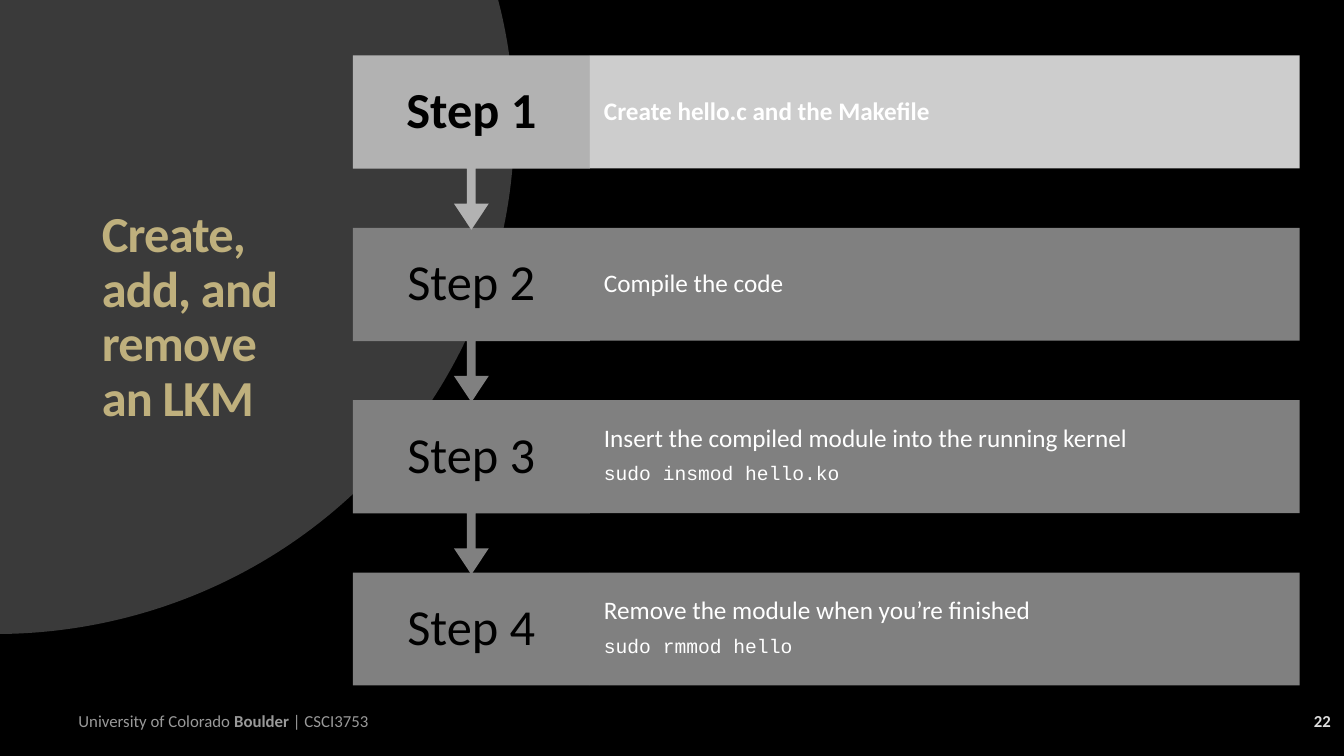
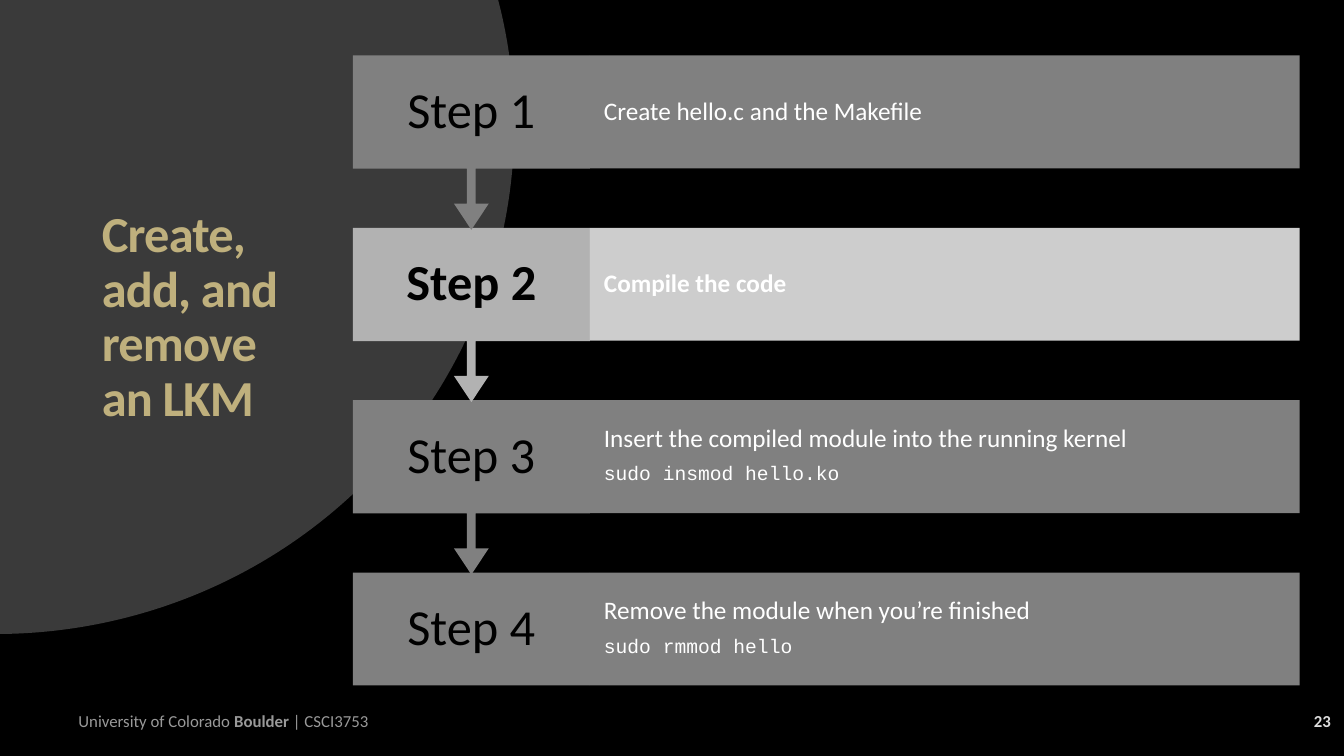
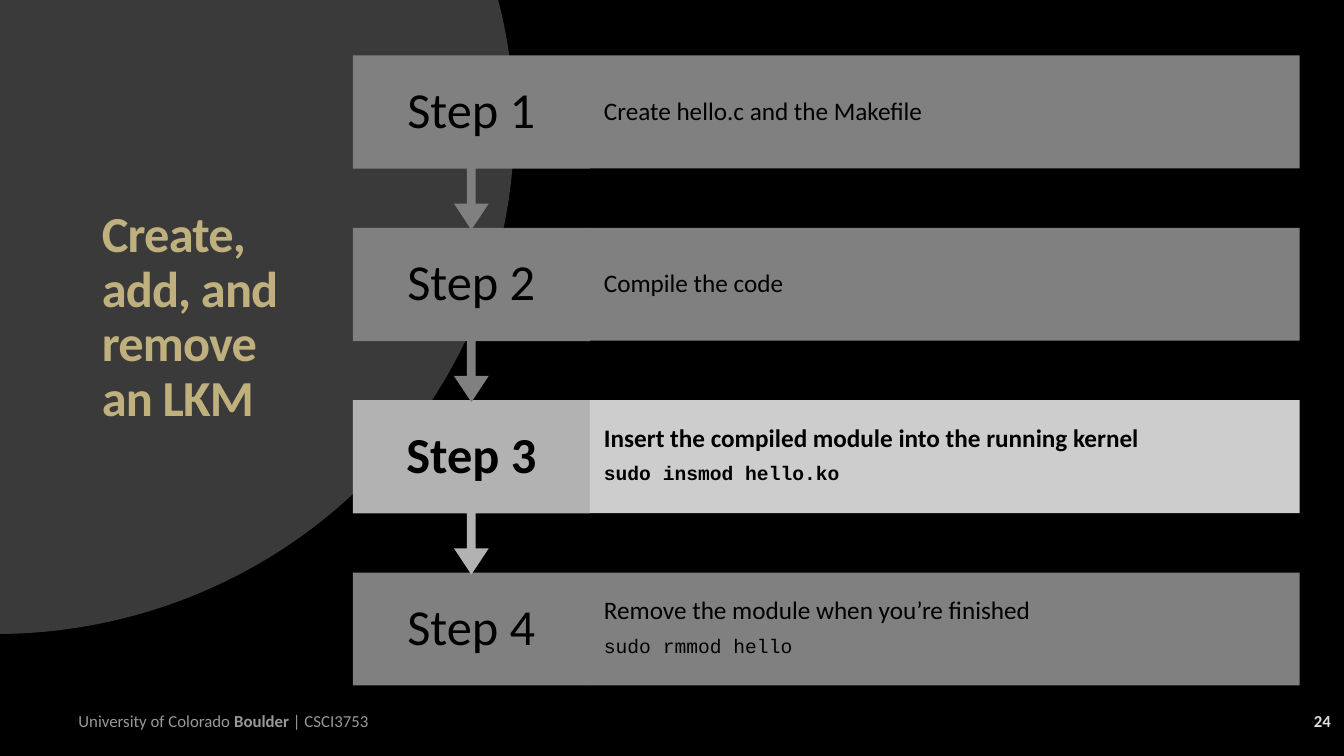
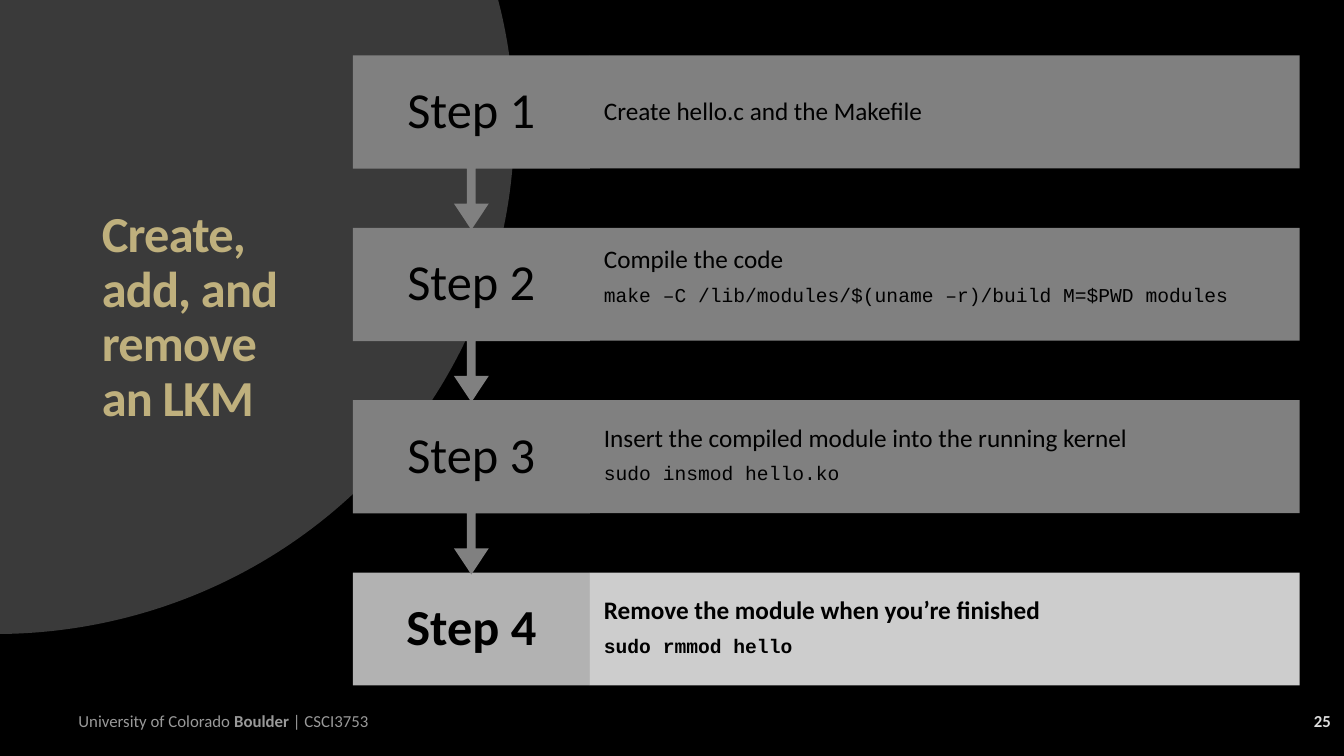
"""Build four slides that walk through the steps of using an LKM."""
from dataclasses import dataclass

from lxml.etree import SubElement
from pptx import Presentation
from pptx.dml.color import RGBColor
from pptx.enum.shapes import MSO_SHAPE
from pptx.enum.text import MSO_ANCHOR, MSO_AUTO_SIZE, PP_ALIGN
from pptx.oxml.ns import qn
from pptx.presentation import Presentation as Deck
from pptx.shapes.autoshape import Shape
from pptx.slide import Slide, SlideLayout
from pptx.text.text import TextFrame, _Paragraph, _Run
from pptx.util import Inches, Pt

BLACK = RGBColor(0x00, 0x00, 0x00)
WHITE = RGBColor(0xFF, 0xFF, 0xFF)
GOLD = RGBColor(0xBF, 0xB0, 0x7D)
DISC_GRAY = RGBColor(0x3A, 0x3A, 0x3A)
STEP_GRAY = RGBColor(0x80, 0x80, 0x80)
ACTIVE_HEAD = RGBColor(0xB2, 0xB2, 0xB2)
ACTIVE_BODY = RGBColor(0xE4, 0xE4, 0xE4)
FOOTER_GRAY = RGBColor(0x99, 0x99, 0x99)
NUMBER_GRAY = RGBColor(0xDD, 0xDD, 0xDD)

SANS = "Calibri"
MONO = "Courier New"
TITLE = "Create, add, and remove\van LKM"
FOOTER = (("University of Colorado ", False), ("Boulder", True), (" | CSCI3753", False))

HEAD_LEFT, HEAD_WIDTH = 3.5, 2.35
BODY_LEFT, BODY_WIDTH = HEAD_LEFT + HEAD_WIDTH, 7.04
STEP_TOP, STEP_PITCH = 0.55, 1.71
STEP_HEIGHT, CALLOUT_HEIGHT = 1.12, 1.73
CALLOUT_ADJUSTMENTS = (0.05, 0.1, 0.15, 0.65)
FOOTER_TOP, FOOTER_HEIGHT = 6.95, 0.4


@dataclass(frozen=True)
class Step:
    """A step with its description and an optional shell command."""
    text: str
    command: str = ""
    inset: float = 0.25


@dataclass(frozen=True)
class Stage:
    """One slide: its number, the active step, the text colour and the steps."""
    number: int
    active: int
    color: RGBColor
    steps: tuple[Step, ...]


CREATE = Step("Create hello.c and the Makefile")
COMPILE = Step("Compile the code")
COMPILE_COMMAND = Step("Compile the code",
                       "make –C /lib/modules/$(uname –r)/build M=$PWD modules", 0.19)
INSERT = Step("Insert the compiled module into the running kernel", "sudo insmod hello.ko")
REMOVE = Step("Remove the module when you’re finished", "sudo rmmod hello")
STEPS = (CREATE, COMPILE, INSERT, REMOVE)

STAGES = (
    Stage(22, 1, WHITE, STEPS),
    Stage(23, 2, WHITE, STEPS),
    Stage(24, 3, BLACK, STEPS),
    Stage(25, 4, BLACK, (CREATE, COMPILE_COMMAND, INSERT, REMOVE)),
)


def style_run(r: _Run, size: float, color: RGBColor, bold: bool = False,
              font: str = SANS) -> None:
    """Set the font of a run."""
    r.font.name, r.font.size, r.font.bold = font, Pt(size), bold
    r.font.color.rgb = color


def style_paragraph(p: _Paragraph, align: PP_ALIGN, after: float) -> None:
    """Set the alignment and spacing of a step's paragraph."""
    p.alignment = align
    p.line_spacing = 0.9
    p.space_after = Pt(after)


def set_frame(tf: TextFrame, anchor: MSO_ANCHOR, x_inset: float = 0.1,
              y_inset: float = 0.05) -> None:
    """Set the wrapping, anchor and insets of a text frame."""
    tf.word_wrap = True
    tf.auto_size = MSO_AUTO_SIZE.NONE
    tf.vertical_anchor = anchor
    tf.margin_left = tf.margin_right = Inches(x_inset)
    tf.margin_top = tf.margin_bottom = Inches(y_inset)


def add_filled(s: Slide, kind: MSO_SHAPE, left: float, top: float, width: float,
               height: float, color: RGBColor) -> Shape:
    """Add a preset shape with a plain fill and no line or shadow."""
    sp = s.shapes.add_shape(kind, Inches(left), Inches(top), Inches(width), Inches(height))
    sp.shadow.inherit = False
    sp.fill.solid()
    sp.fill.fore_color.rgb = color
    sp.line.fill.background()
    return sp


def set_opacity(sp: Shape, percent: int) -> None:
    """Make the solid fill of a shape partly transparent."""
    color = sp.element.spPr.find(qn("a:solidFill")).find(qn("a:srgbClr"))
    SubElement(color, qn("a:alpha")).set("val", str(percent * 1000))


def add_head(s: Slide, number: int, top: float, active: bool, last: bool) -> None:
    """Add the label of a step, with an arrow to the next one unless it is last."""
    kind = MSO_SHAPE.RECTANGLE if last else MSO_SHAPE.DOWN_ARROW_CALLOUT
    height = STEP_HEIGHT if last else CALLOUT_HEIGHT
    sp = add_filled(s, kind, HEAD_LEFT, top, HEAD_WIDTH, height,
                    ACTIVE_HEAD if active else STEP_GRAY)
    if not last:
        for i, value in enumerate(CALLOUT_ADJUSTMENTS):
            sp.adjustments[i] = value
    tf = sp.text_frame
    set_frame(tf, MSO_ANCHOR.MIDDLE, 0.17, 0.28)
    tf.text = f"Step {number}"
    p = tf.paragraphs[0]
    style_paragraph(p, PP_ALIGN.CENTER, 0)
    style_run(p.runs[0], 36, BLACK, active)


def add_body(s: Slide, step: Step, top: float, color: RGBColor, active: bool) -> None:
    """Add the band with the description and command of a step."""
    sp = add_filled(s, MSO_SHAPE.RECTANGLE, BODY_LEFT, top, BODY_WIDTH, STEP_HEIGHT,
                    ACTIVE_BODY if active else STEP_GRAY)
    if active:
        set_opacity(sp, 90)
    tf = sp.text_frame
    set_frame(tf, MSO_ANCHOR.TOP if step.command else MSO_ANCHOR.MIDDLE, 0.14, step.inset)
    tf.text = step.text
    p = tf.paragraphs[0]
    style_paragraph(p, PP_ALIGN.LEFT, 8 if step.command else 0)
    style_run(p.runs[0], 18, color, active)
    if step.command:
        p = tf.add_paragraph()
        p.text = step.command
        style_paragraph(p, PP_ALIGN.LEFT, 0)
        style_run(p.runs[0], 14, color, active, MONO)


def add_title(s: Slide) -> None:
    """Place and format the title placeholder."""
    sp = s.shapes.title
    sp.left, sp.top, sp.width, sp.height = (Inches(v) for v in (0.91, 0.64, 2.35, 5.03))
    tf = sp.text_frame
    tf.text = TITLE
    set_frame(tf, MSO_ANCHOR.MIDDLE)
    p = tf.paragraphs[0]
    style_paragraph(p, PP_ALIGN.LEFT, 0)
    for r in p.runs:
        style_run(r, 36, GOLD, True)
        r.font._element.set("spc", "-60")


def add_footer_box(s: Slide, left: float, width: float) -> _Paragraph:
    """Add a text box on the footer line and return its paragraph."""
    sp = s.shapes.add_textbox(Inches(left), Inches(FOOTER_TOP), Inches(width),
                              Inches(FOOTER_HEIGHT))
    set_frame(sp.text_frame, MSO_ANCHOR.MIDDLE)
    return sp.text_frame.paragraphs[0]


def add_footer(s: Slide, number: int) -> None:
    """Add the course line and the slide number."""
    p = add_footer_box(s, 0.68, 10.01)
    for text, bold in FOOTER:
        r = p.add_run()
        r.text = text
        style_run(r, 12, FOOTER_GRAY, bold)
    p = add_footer_box(s, 11.63, 1.67)
    p.alignment = PP_ALIGN.RIGHT
    p.text = str(number)
    style_run(p.runs[0], 12, NUMBER_GRAY, True)


def add_backdrop(s: Slide, layout: SlideLayout) -> None:
    """Give the layout its black background and the gray disc, drawn through a slide."""
    layout.background.fill.solid()
    layout.background.fill.fore_color.rgb = BLACK
    disc = add_filled(s, MSO_SHAPE.OVAL, -5.19, -3.8, 10.29, 10.09, DISC_GRAY)
    layout.shapes.element.insert(2, disc.element)


def add_stage(prs: Deck, layout: SlideLayout, stage: Stage) -> Slide:
    """Add a slide; later steps lie behind, so that each arrow tip stays on top."""
    s = prs.slides.add_slide(layout)
    add_title(s)
    add_footer(s, stage.number)
    last = len(stage.steps)
    for number, step in reversed(list(enumerate(stage.steps, 1))):
        top = STEP_TOP + (number - 1) * STEP_PITCH
        active = number == stage.active
        add_head(s, number, top, active, number == last)
        add_body(s, step, top, stage.color, active)
    return s


def main() -> None:
    """Build and save the presentation."""
    prs = Presentation()
    prs.slide_width, prs.slide_height = Inches(13.33), Inches(7.5)
    layout = prs.slide_layouts[5]
    slides = [add_stage(prs, layout, stage) for stage in STAGES]
    add_backdrop(slides[0], layout)
    prs.save("out.pptx")


main()
